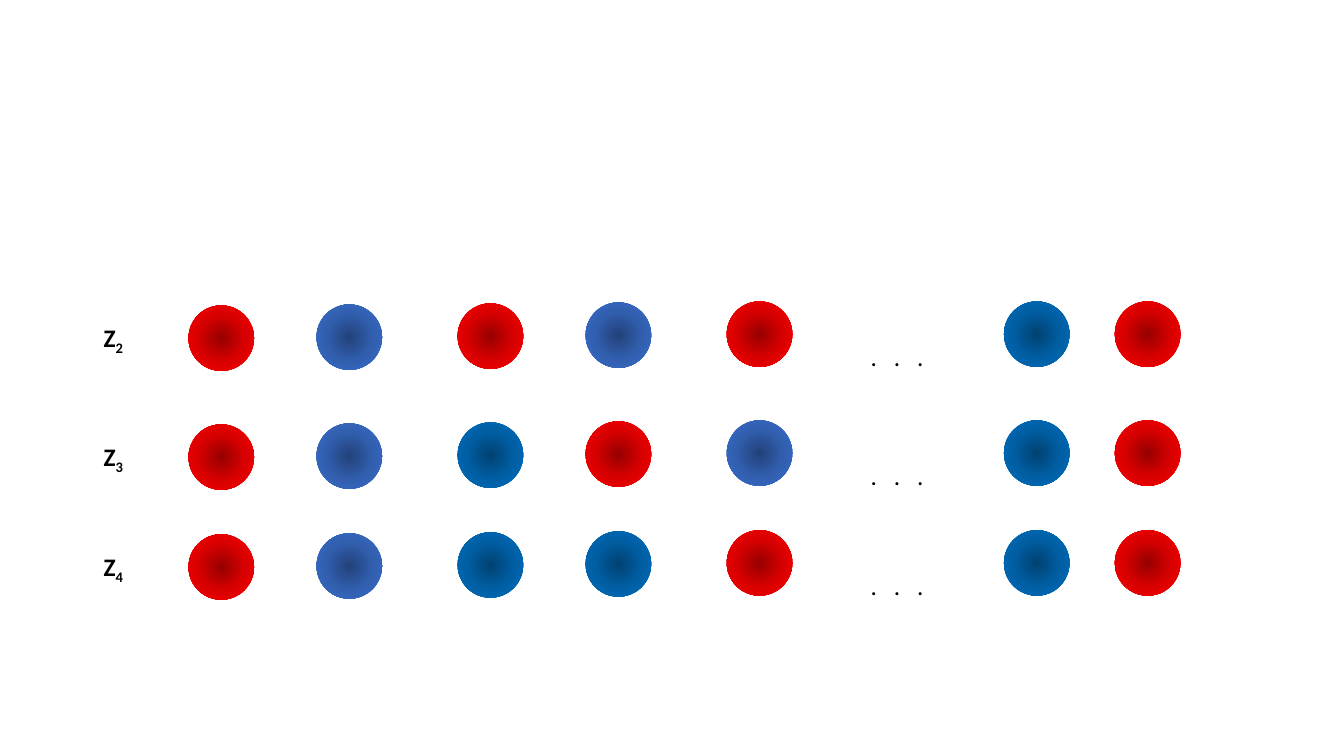
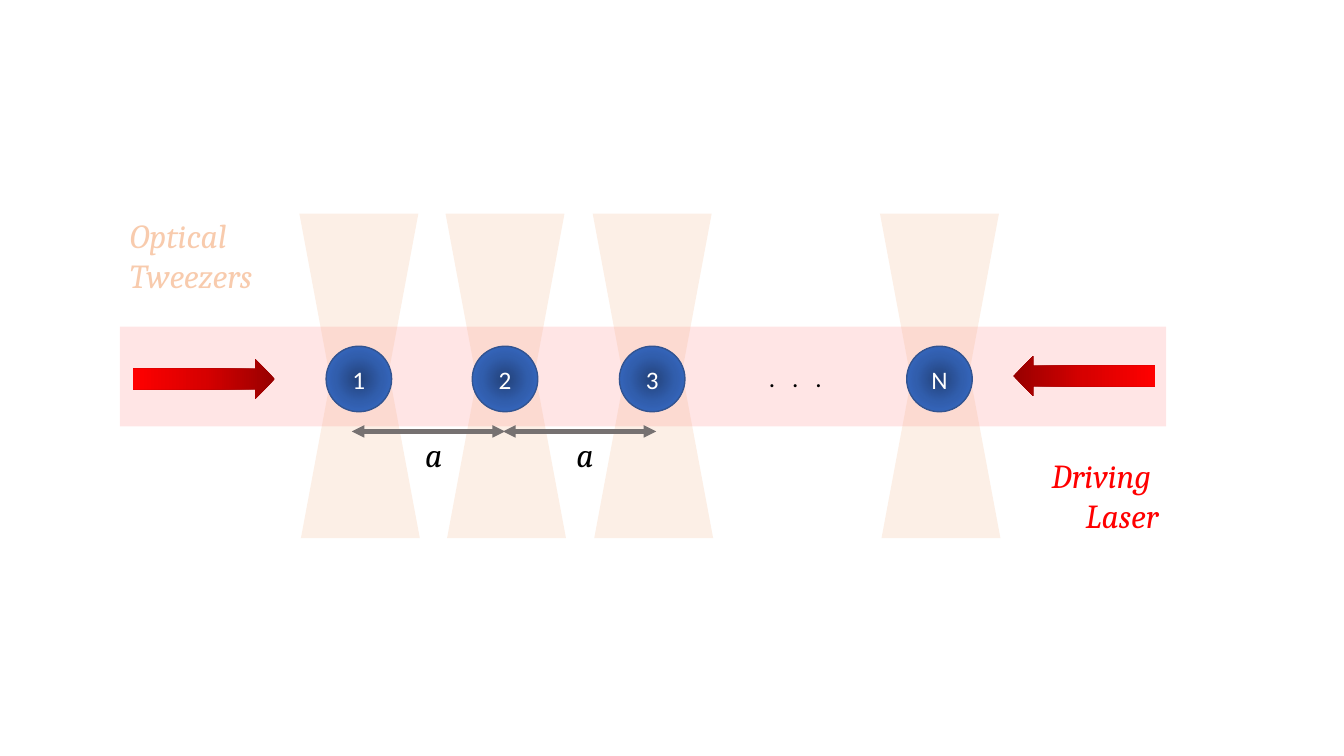
from dataclasses import dataclass

from lxml.etree import SubElement
from pptx import Presentation
from pptx.dml.color import RGBColor
from pptx.enum.shapes import MSO_CONNECTOR, MSO_SHAPE
from pptx.enum.text import MSO_ANCHOR, PP_ALIGN
from pptx.oxml import parse_xml
from pptx.oxml.ns import nsdecls, qn
from pptx.util import Inches, Pt


@dataclass(frozen=True)
class Theme:
    red: tuple = ("970000", "D70000", "FF0000")
    indigo: tuple = ("23427A", "315EAD", "3A6FCE")
    azure: tuple = ("004272", "005EA2", "0070C0")
    outline: str = "325491"
    laser: str = "FF0000"
    beam: str = "F4B183"
    beam_text: str = "F8CBAD"
    ruler: str = "767171"
    ink: str = "000000"
    paper: str = "FFFFFF"
    sans: str = "Calibri"
    serif: str = "Cambria"
    body: int = 18
    caption: int = 24


@dataclass(frozen=True)
class Box:
    """A region in grid units, ten columns or rows to the inch."""
    left: float
    top: float
    width: float
    height: float

    def place(self, column, row, width, height):
        return Box(self.left + column, self.top + row, width, height)

    def lengths(self):
        return [grid(n) for n in (self.left, self.top, self.width, self.height)]


THEME = Theme()
SLIDE = Box(0, 0, 133.33, 75)
ATOM = 6.5  # diameter of an atom


def grid(units):
    return Inches(units / 10)


def write(shape, text, size=THEME.body, font=THEME.sans, color=THEME.ink,
          bold=False, italic=False, align=PP_ALIGN.LEFT, spacing=0, subscript=""):
    """Writes one paragraph per line, with an optional subscript at its end."""
    frame = shape.text_frame
    frame.word_wrap = True
    for index, line in enumerate(text.split("\n")):
        para = frame.add_paragraph() if index else frame.paragraphs[0]
        para.alignment = align
        for words in filter(None, (line, subscript)):
            span = para.add_run()
            span.text = words
            span.font.name, span.font.size = font, Pt(size)
            span.font.bold, span.font.italic = bold, italic
            span.font.color.rgb = RGBColor.from_string(color)
            properties = span.font._element
            if spacing:
                properties.set("spc", str(spacing * 100))
            if words is subscript:
                properties.set("baseline", "-25000")


def add_text(page, box, text, **style):
    write(page.shapes.add_textbox(*box.lengths()), text, **style)


def add_plain(page, kind, box, rotation=0):
    shape = page.shapes.add_shape(kind, *box.lengths())
    shape.shadow.inherit = False
    shape.line.fill.background()
    shape.rotation = rotation
    return shape


def fill_clear(shape, color, percent):
    shape.fill.solid()
    shape.fill.fore_color.rgb = RGBColor.from_string(color)
    tint = shape.fill._xPr.find(qn("a:solidFill"))[0]
    SubElement(tint, qn("a:alpha")).set("val", str(percent * 1000))


def fill_gradient(shape, colors, direction):
    stops = "".join(
        f'<a:gs pos="{index * 50000}"><a:srgbClr val="{color}"/></a:gs>'
        for index, color in enumerate(colors))
    gradient = parse_xml(
        f'<a:gradFill {nsdecls("a")} rotWithShape="1">'
        f"<a:gsLst>{stops}</a:gsLst>{direction}</a:gradFill>")
    shape._element.spPr.find(qn("a:prstGeom")).addnext(gradient)


def add_atom(page, box, colors, label=""):
    atom = add_plain(page, MSO_SHAPE.OVAL, box)
    fill_gradient(atom, colors, '<a:path path="circle"><a:fillToRect l="50000" '
                                't="50000" r="50000" b="50000"/></a:path>')
    if label:
        atom.line.color.rgb = RGBColor.from_string(THEME.outline)
        atom.line.width = Pt(1)
        atom.text_frame.vertical_anchor = MSO_ANCHOR.MIDDLE
        write(atom, label, color=THEME.paper, align=PP_ALIGN.CENTER)


def add_dots(page, box):
    add_text(page, box, ". . .", spacing=4)


def add_chain(page, box, order, atoms):
    """One ordered phase: its name, seven atoms and the dots."""
    columns = (9.4, 22.1, 36.1, 48.8, 62.8, 90.3, 101.3)
    add_text(page, box.place(0, 1.2, 6, 4), "Z", bold=True, subscript=order)
    for index, (column, colors) in enumerate(zip(columns, atoms)):
        rise = 0.1 * min(index, 4)
        add_atom(page, box.place(column, -rise, ATOM, ATOM), colors)
    add_dots(page, box.place(76.1, 3.1, 10, 4))


def add_tweezer(page, box, label):
    """Two beams that narrow towards one labelled atom."""
    for column, row, rotation in ((0, 0, 180), (0.15, 16.4, 0)):
        beam = add_plain(page, MSO_SHAPE.TRAPEZOID,
                         box.place(column, row, box.width, 15.8), rotation)
        fill_clear(beam, THEME.beam, 20)
    add_atom(page, box.place((box.width - ATOM) / 2, 13.15, ATOM, ATOM),
             THEME.indigo, label)


def add_laser_arrow(page, box, rotation):
    arrow = add_plain(page, MSO_SHAPE.RIGHT_ARROW, box, rotation)
    fill_gradient(arrow, THEME.red, '<a:lin ang="10800000" scaled="0"/>')


def add_spacing(page, box):
    """A double arrow over the name of the distance."""
    line = page.shapes.add_connector(
        MSO_CONNECTOR.STRAIGHT, grid(box.left), grid(box.top),
        grid(box.left + box.width), grid(box.top))
    line.line.color.rgb = RGBColor.from_string(THEME.ruler)
    line.line.width = Pt(3)
    outline = line.line._get_or_add_ln()
    for end in ("a:headEnd", "a:tailEnd"):
        SubElement(outline, qn(end)).set("type", "triangle")
    SubElement(line._element.spPr, qn("a:effectLst"))
    add_text(page, box.place(6.3, -0.2, 3.3, 5), "a",
             size=THEME.caption, font=THEME.serif, italic=True)


def build_phases(page, box):
    red, indigo, azure = THEME.red, THEME.indigo, THEME.azure
    chains = (
        ("2", 0, (red, indigo, red, indigo, red, azure, red)),
        ("3", 11.8, (red, indigo, azure, red, indigo, azure, red)),
        ("4", 22.7, (red, indigo, azure, azure, red, azure, red)),
    )
    for order, row, atoms in chains:
        add_chain(page, box.place(0, row, box.width, ATOM), order, atoms)


def build_trap(page, box):
    # Laser band with the tweezers across it
    band = add_plain(page, MSO_SHAPE.RECTANGLE, box.place(0, 11.6, box.width, 9.9))
    fill_clear(band, THEME.laser, 10)
    for label, column in (("1", 17.8), ("2", 32.3), ("3", 46.9), ("N", 75.4)):
        add_tweezer(page, box.place(column, 0.4, 11.8, 32.2), label)
    add_dots(page, box.place(63.4, 14.7, 10, 4))

    # Laser arrows and distances
    for column, row, rotation in ((1.3, 14.8, 0), (88.6, 14.5, 180)):
        add_laser_arrow(page, box.place(column, row, 14.1, 4), rotation)
    for column in (23, 38):
        add_spacing(page, box.place(column, 22, 15.2, 5))

    # Captions
    caption = dict(size=THEME.caption, font=THEME.serif, italic=True)
    add_text(page, box.place(0, 0, 19.5, 9.1), "Optical\nTweezers",
             color=THEME.beam_text, **caption)
    add_text(page, box.place(84.5, 23.8, 19.5, 9.1), "Driving \nLaser",
             color=THEME.laser, align=PP_ALIGN.RIGHT, **caption)


def main():
    deck = Presentation()
    deck.slide_width, deck.slide_height = grid(SLIDE.width), grid(SLIDE.height)
    blank = deck.slide_layouts[6]
    build_phases(deck.slides.add_slide(blank), SLIDE.place(9.3, 30.3, 108, 29.2))
    build_trap(deck.slides.add_slide(blank), SLIDE.place(11.9, 20.8, 103.8, 33))
    deck.save("out.pptx")


if __name__ == "__main__":
    main()
